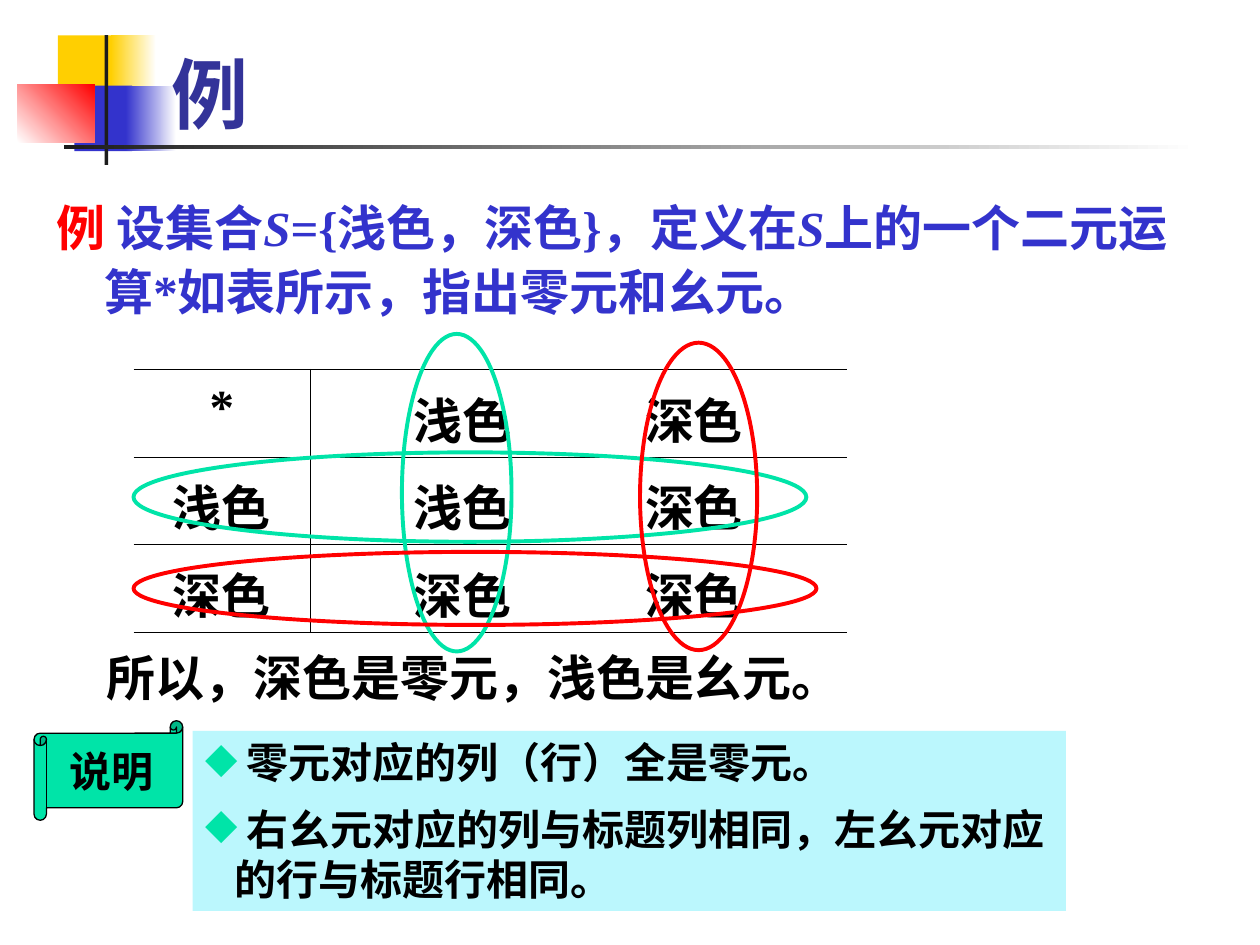
from lxml import etree
from pptx import Presentation
from pptx.dml.color import RGBColor
from pptx.enum.lang import MSO_LANGUAGE_ID
from pptx.enum.shapes import MSO_SHAPE
from pptx.enum.text import MSO_ANCHOR, PP_ALIGN
from pptx.oxml.ns import qn
from pptx.util import Inches, Pt

RECT, OVAL = MSO_SHAPE.RECTANGLE, MSO_SHAPE.OVAL
SCROLL = MSO_SHAPE.HORIZONTAL_SCROLL
LEFT, CENTER = PP_ALIGN.LEFT, PP_ALIGN.CENTER
TOP, MIDDLE, BOTTOM = MSO_ANCHOR.TOP, MSO_ANCHOR.MIDDLE, MSO_ANCHOR.BOTTOM
CHINESE = MSO_LANGUAGE_ID.SIMPLIFIED_CHINESE

WHITE = RGBColor(0xFF, 0xFF, 0xFF)
BLACK = RGBColor(0, 0, 0)
DARK = RGBColor(0x1C, 0x1C, 0x1C)
GOLD = RGBColor(0xFF, 0xCF, 0x01)
BLUE = RGBColor(0x33, 0x33, 0xCC)
NAVY = RGBColor(0x33, 0x33, 0x99)
RED = RGBColor(0xFF, 0, 0)
GREEN = RGBColor(0, 0xE4, 0xA8)
PALE = RGBColor(0xBB, 0xF7, 0xFD)
SERIF, SANS = "Times New Roman", "Karla"


def assign(item, values):
    for key, value in values.items():
        setattr(item, key, value)


class Deck:
    def __init__(self):
        self.show = Presentation()
        self.show.slide_width, self.show.slide_height = Inches(10), Inches(7.5)
        self.slide = self.show.slides.add_slide(self.show.slide_layouts[5])
        self.shapes = self.slide.shapes

    def put(self, frame, paras, size, font, color=BLACK, **form):
        """Fill a frame; each paragraph is a list of (text, own font values)."""
        base = {"size": Pt(size), "name": font, "bold": True,
                "language_id": CHINESE}
        for i, runs in enumerate(paras):
            para = frame.add_paragraph() if i else frame.paragraphs[0]
            assign(para, form)
            for text, own in runs:
                run = para.add_run()
                run.text = text
                assign(run.font, base | own)
                run.font.color.rgb = color
        return frame.paragraphs

    def title(self, text, box):
        shape = self.shapes.title
        assign(shape, dict(zip(("left", "top", "width", "height"),
                               map(Inches, box))))
        assign(shape.text_frame, {"vertical_anchor": BOTTOM, "word_wrap": True})
        self.put(shape.text_frame, [[(text, {})]], 44, SANS, NAVY,
                 alignment=LEFT)
        self.shapes._spTree.append(shape._element)

    def shape(self, kind, box, fill=None, line=None, width=2.25):
        shape = self.shapes.add_shape(kind, *map(Inches, box))
        shape.shadow.inherit = False
        if fill is None:
            shape.fill.background()
        else:
            shape.fill.solid()
            shape.fill.fore_color.rgb = fill
        if line is None:
            shape.line.fill.background()
        else:
            shape.line.color.rgb = line
            shape.line.width = Pt(width)
        return shape

    def fade(self, box, start, end, angle=0):
        fill = self.shape(RECT, box).fill
        fill.gradient()
        fill.gradient_angle = angle
        for point, color in zip(fill.gradient_stops, (start, end)):
            point.color.rgb = color

    def text(self, box):
        frame = self.shapes.add_textbox(*map(Inches, box)).text_frame
        frame.word_wrap = True
        return frame

    def table(self, box, cols, rows):
        grid = self.shapes.add_table(len(rows), len(cols),
                                     *map(Inches, box)).table
        assign(grid, {"first_row": False, "horz_banding": False})
        for col, width in zip(grid.columns, cols):
            col.width = Inches(width)
        for r, texts in enumerate(rows):
            grid.rows[r].height = Inches(box[3] / len(rows))
            for c, text in enumerate(texts):
                cell = grid.cell(r, c)
                cell.vertical_anchor = TOP
                cell.fill.background()
                border(cell, "LTB" if c else "RTB")
                paras = self.put(cell.text_frame, [[(text, {})]], 28, SERIF,
                                 alignment=LEFT if c else CENTER,
                                 line_spacing=1.1)
                if c:
                    cell.margin_left = Inches(0.82)
                    add_tab(paras[0], 1.84)


def border(cell, sides):
    """Rule the given sides of a cell and clear the others."""
    props = cell._tc.get_or_add_tcPr()
    for i, side in enumerate("LRTB"):
        line = etree.Element(qn("a:ln" + side), w=str(Pt(0.45)))
        if side in sides:
            fill = etree.SubElement(line, qn("a:solidFill"))
            etree.SubElement(fill, qn("a:srgbClr"), val=str(BLACK))
        else:
            etree.SubElement(line, qn("a:noFill"))
        props.insert(i, line)


def add_tab(para, place):
    tabs = etree.SubElement(para._p.get_or_add_pPr(), qn("a:tabLst"))
    etree.SubElement(tabs, qn("a:tab"), pos=str(Inches(place)), algn="l")


def indent(para, size):
    props = para._p.get_or_add_pPr()
    props.set("marL", str(Inches(size)))
    props.set("indent", str(-Inches(size)))
    return props


def bullet(para, size, mark, color):
    props = indent(para, size)
    tint = etree.SubElement(props, qn("a:buClr"))
    etree.SubElement(tint, qn("a:srgbClr"), val=str(color))
    etree.SubElement(props, qn("a:buChar"), char=mark)


def main():
    deck = Deck()
    deck.shape(RECT, (0.46, 0.28, 0.48, 0.52), GOLD)
    deck.fade((0.88, 0.28, 0.36, 0.52), GOLD, WHITE)
    deck.shape(RECT, (0.59, 0.68, 0.46, 0.52), BLUE)
    deck.fade((1, 0.68, 0.4, 0.52), BLUE, WHITE)
    deck.fade((0.14, 0.67, 0.61, 0.46), WHITE, RED, 45)
    deck.shape(RECT, (0.83, 0.28, 0.03, 1.03), DARK)
    deck.fade((0.51, 1.15, 9, 0.03), DARK, WHITE)
    deck.title("例", (1.26, 0.08, 8.52, 1.07))

    slant = {"italic": True}
    task = [("例 ", {}), ("设集合", {}), ("S", slant),
            ("={浅色，深色}，定义在", {}), ("S", slant),
            ("上的一个二元运算*如表所示，指出零元和幺元。", {})]
    para = deck.put(deck.text((0.35, 1.47, 9.29, 1.42)), [task],
                    28, SERIF, BLUE, line_spacing=1.1)[0]
    para.runs[0].font.color.rgb = RED
    indent(para, 0.38)

    light, deep = "浅色", "深色"
    deck.table((1.06, 2.93, 5.66, 2.09), (1.4, 4.26),
               [("*", f"{light}\t{deep}"),
                (light, f"{light}\t{deep}"),
                (deep, f"{deep}\t{deep}")])
    for box, color in (((3.19, 2.65, 0.87, 2.52), GREEN),
                       ((1.06, 3.59, 5.34, 0.71), GREEN),
                       ((5.08, 2.72, 0.93, 2.44), RED),
                       ((1.06, 4.38, 5.42, 0.58), RED)):
        deck.shape(OVAL, box, line=color)

    notes = deck.shape(RECT, (1.53, 5.8, 6.93, 1.43), PALE).text_frame
    assign(notes, {"word_wrap": True, "vertical_anchor": TOP})
    points = [" 零元对应的列（行）全是零元。",
              " 右幺元对应的列与标题列相同，左幺元对应的行与标题行相同。"]
    paras = deck.put(notes, [[(text, {})] for text in points],
                     24, SERIF, alignment=LEFT)
    paras[1].space_before = Pt(9)
    for para in paras:
        bullet(para, 0.23, "◆", GREEN)

    label = deck.shape(SCROLL, (0.27, 5.72, 1.18, 0.79), GREEN, BLACK, 0.75)
    assign(label.text_frame, {"word_wrap": False, "vertical_anchor": MIDDLE})
    deck.put(label.text_frame, [[("说明", {})]], 24, SANS, alignment=CENTER)

    deck.put(deck.text((0.75, 5.09, 8.03, 0.57)),
             [[("所以，深色是零元，浅色是幺元。", {})]], 28, SANS)
    deck.show.save("out.pptx")


if __name__ == "__main__":
    main()
